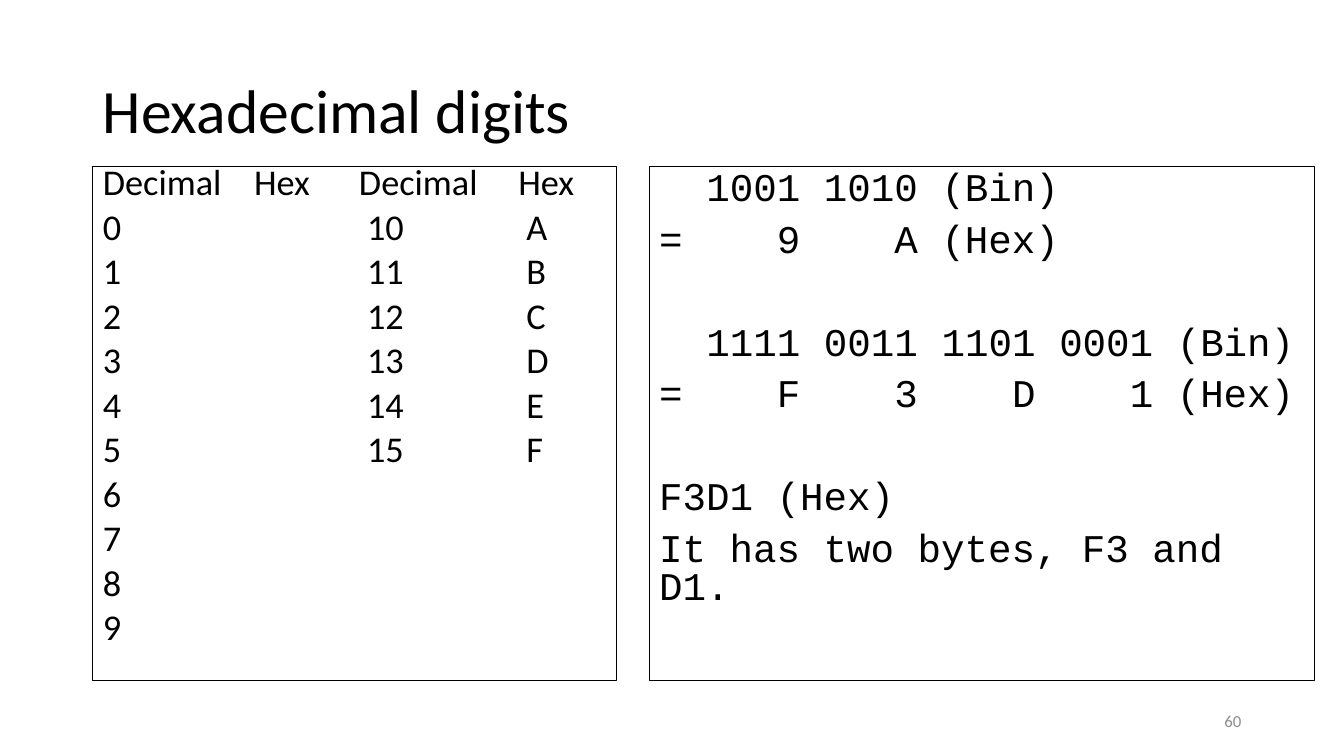
"""Build the slide on hexadecimal digits and their binary groups."""
from lxml.etree import SubElement
from pptx import Presentation
from pptx.dml.color import RGBColor
from pptx.enum.shapes import MSO_SHAPE
from pptx.enum.text import MSO_ANCHOR as Anchor, MSO_AUTO_SIZE as AutoSize, PP_ALIGN as Align
from pptx.oxml.ns import qn
from pptx.util import Inches, Pt

TITLE = "Hexadecimal digits"
PAGE_NUMBER = "60"
HEADER = ["Decimal", "Hex", "Decimal", "Hex"]
DIGITS = [[str(n)] + (["", str(n + 10), "ABCDEF"[n]] if n < 6 else []) for n in range(10)]
CONVERSIONS = [
    (["1001", "1010"], ["9", "A"]),
    (["1111", "0011", "1101", "0001"], ["F", "3", "D", "1"]),
]
REMARKS = ["F3D1 (Hex)", "It has two bytes, F3 and D1."]

COLORS = {"ink": "000000", "muted": "8C8C8C"}
SANS, MONO = "Calibri", "Courier New"
WIDTH, HEIGHT = 13.33, 7.5
MARGIN, PANEL_TOP, PANEL_HEIGHT = 0.92, 1.65, 5.1
HEADER_STOPS = [1.5, 2.54, 4.12]
DIGIT_INDENT = 0.08
MONO_SIZE = 28
MONO_ADVANCE = 0.6 * MONO_SIZE / 72
GROUP_CHARS = 5
LINE_GAP, BLOCK_GAP = 10, 46.7


def place(box, left, top, width, height):
    box.left, box.top, box.width, box.height = map(Inches, (left, top, width, height))


def write(para, text, font, size, color="ink", align=Align.LEFT):
    para.alignment = align
    span = para.add_run()
    span.text = text
    span.font.name, span.font.size = font, Pt(size)
    span.font.color.rgb = RGBColor.from_string(COLORS[color])


def flatten_body_style(master):
    for level in master.element.iterfind(".//" + qn("p:bodyStyle") + "/" + qn("a:lvl1pPr")):
        level.set("marL", "0")
        level.attrib.pop("indent", None)


def set_tabs(para, stops):
    properties = para._p.get_or_add_pPr()
    SubElement(properties, qn("a:buNone"))
    if stops:
        tabs = SubElement(properties, qn("a:tabLst"))
        for position, side in stops:
            SubElement(tabs, qn("a:tab"), pos=str(Inches(position)), algn=side)


def fill_panel(box, lines, font, size, spacing):
    box.shadow.inherit = False
    box.fill.background()
    box.line.color.rgb = RGBColor.from_string(COLORS["ink"])
    box.line.width = Pt(0.75)
    frame = box.text_frame
    frame.word_wrap, frame.auto_size = True, AutoSize.NONE
    frame.vertical_anchor = Anchor.TOP
    for index, (text, stops, gap) in enumerate(lines):
        para = frame.add_paragraph() if index else frame.paragraphs[0]
        set_tabs(para, stops)
        para.line_spacing = spacing
        para.space_before = Pt(gap if index else 0)
        write(para, text, font, size)


def digit_lines():
    lines = [("\t".join(HEADER), [(stop, "l") for stop in HEADER_STOPS], 0)]
    stops = [(HEADER_STOPS[0], "l")] + [(stop + DIGIT_INDENT, "l") for stop in HEADER_STOPS[1:]]
    return lines + [("\t".join(row), stops, LINE_GAP) for row in DIGITS]


def conversion_lines():
    lines = []
    for binary, hexadecimal in CONVERSIONS:
        ends = [1 + GROUP_CHARS * (n + 1) for n in range(len(binary))]
        stops = [(end * MONO_ADVANCE, "r") for end in ends]
        stops.append(((ends[-1] + 1) * MONO_ADVANCE, "l"))
        lines.append(("\t".join(["", *binary, "(Bin)"]), stops, BLOCK_GAP))
        lines.append(("\t".join(["=", *hexadecimal, "(Hex)"]), stops, LINE_GAP))
    gaps = [BLOCK_GAP, LINE_GAP]
    return lines + [(text, [], gap) for text, gap in zip(REMARKS, gaps)]


def main():
    deck = Presentation()
    deck.slide_width, deck.slide_height = Inches(WIDTH), Inches(HEIGHT)
    flatten_body_style(deck.slide_master)
    page = deck.slides.add_slide(deck.slide_layouts[1])

    title = page.shapes.title
    place(title, MARGIN, 0.4, WIDTH - 2 * MARGIN, 1.45)
    title.text_frame.vertical_anchor = Anchor.MIDDLE
    heading = title.text_frame.paragraphs[0]
    heading.line_spacing = 0.9
    write(heading, TITLE, SANS, 44)

    digits = page.placeholders[1]
    place(digits, MARGIN, PANEL_TOP, 5.19, PANEL_HEIGHT)
    fill_panel(digits, digit_lines(), SANS, 25.9, 0.7)

    conversions = page.shapes.add_shape(MSO_SHAPE.RECTANGLE, 0, 0, 0, 0)
    place(conversions, 6.44, PANEL_TOP, 6.6, PANEL_HEIGHT)
    fill_panel(conversions, conversion_lines(), MONO, MONO_SIZE, 0.8)

    number = page.shapes.add_textbox(0, 0, 0, 0)
    place(number, WIDTH - MARGIN - 3, 6.95, 3, 0.4)
    number.text_frame.word_wrap = True
    number.text_frame.vertical_anchor = Anchor.MIDDLE
    write(number.text_frame.paragraphs[0], PAGE_NUMBER, SANS, 12, "muted", Align.RIGHT)

    deck.save("out.pptx")


if __name__ == "__main__":
    main()
